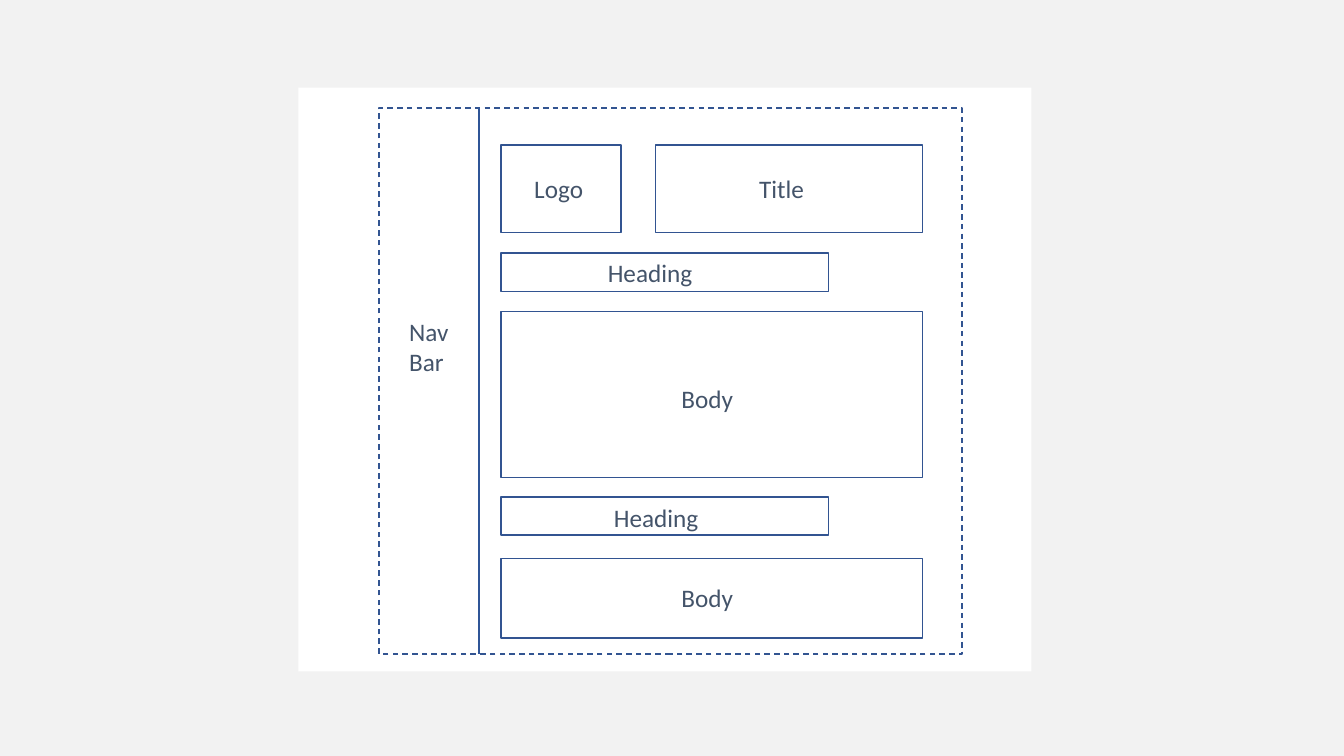
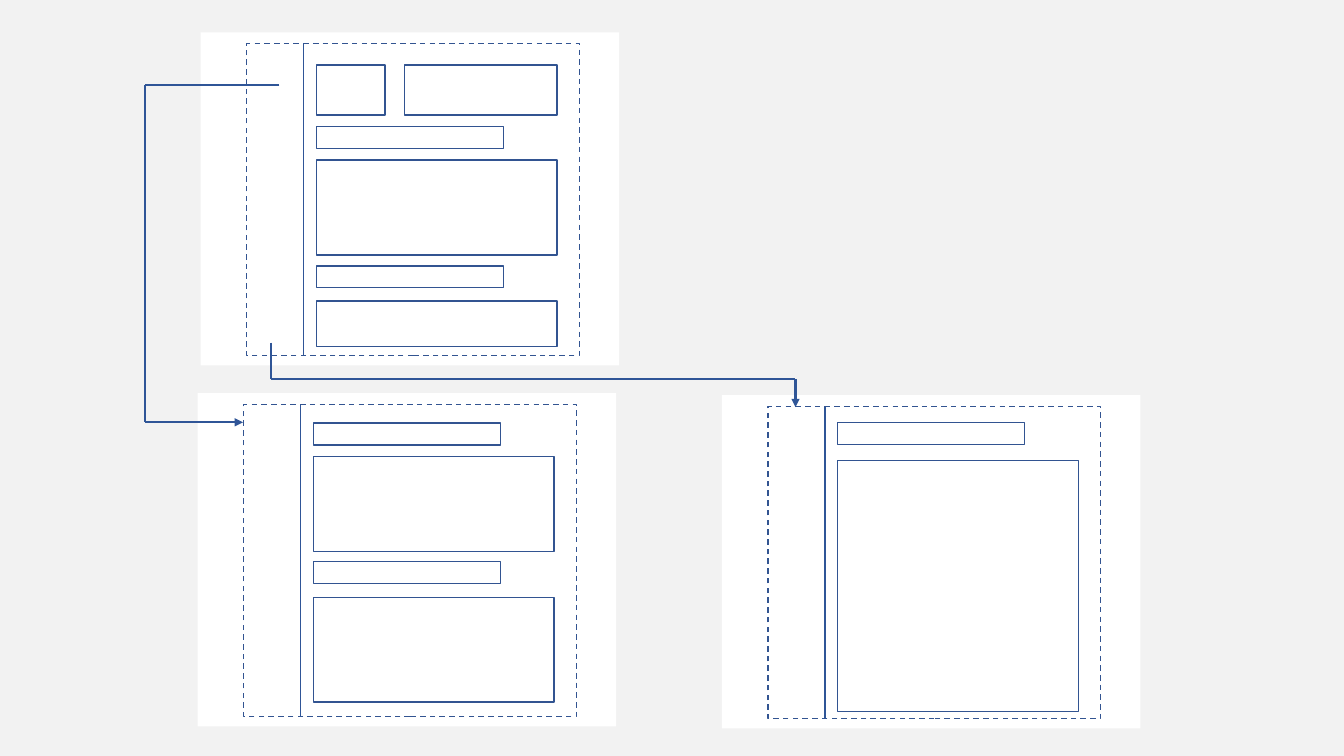
"""Build two slides of page wireframes on a grid of tenth-inch cells."""
from itertools import pairwise

from lxml import etree
from pptx import Presentation
from pptx import util as u
from pptx.dml.color import RGBColor
from pptx.enum import dml, shapes, text
from pptx.oxml.ns import qn

GREY = RGBColor(0xF2, 0xF2, 0xF2)
WHITE = RGBColor(0xFF, 0xFF, 0xFF)
EDGE = RGBColor(0x32, 0x54, 0x91)
LINK = RGBColor(0x2F, 0x55, 0x97)
SLATE = RGBColor(0x44, 0x54, 0x6A)

CELL = 0.1
SMALL = 0.571
PAGE = (72.7, 57.9)
FRAME = (8, 2, 57.8, 54.2)
NAV = 17.9
LEFT = 20.1
HEAD = (32.5, 3.8)
BODY = 41.8

HOME = [
    (LEFT, 5.7, 11.9, 8.7),
    (35.4, 5.7, 26.5, 8.7),
    (LEFT, 16.4, *HEAD),
    (LEFT, 22.2, BODY, 16.5),
    (LEFT, 40.6, *HEAD),
    (LEFT, 46.7, BODY, 7.9),
]
SPLIT = [
    (LEFT, 5.2, *HEAD),
    (LEFT, 11, BODY, 16.5),
    (LEFT, 29.3, *HEAD),
    (LEFT, 35.5, BODY, 18.2),
]
SOLO = [(LEFT, 4.8, *HEAD), (LEFT, 11.4, BODY, 43.6)]

LABELS = [
    ("Logo", 52, 16.7, 7.9),
    ("Title", 74.3, 16.7, 7.9),
    ("Body", 66.6, 37.5, 7.9),
    ("Body", 66.6, 57.3, 7.9),
    ("Heading", 59.3, 25, 11.5),
    ("Heading", 59.9, 49.3, 11.5),
    ("Nav\nBar", 39.6, 30.9, 7.9),
]
ROUTES = [
    [(27.7, 8.4), (14.4, 8.4), (14.4, 41.9), (24.1, 41.9)],
    [(26.9, 34), (26.9, 37.6), (78.9, 37.6), (78.9, 40.4)],
]


def cells(*nums):
    return [u.Inches(n * CELL) for n in nums]


def apply(item, **style):
    for key, val in style.items():
        setattr(item, key, val)


class Deck:
    """Hold the shared style and the current slide."""

    def __init__(self):
        self.prs = Presentation()
        apply(self.prs, slide_width=u.Inches(13.33), slide_height=u.Inches(7.5))

    def slide(self):
        self.cur = self.prs.slides.add_slide(self.prs.slide_layouts[6])
        fill = self.cur.background.fill
        fill.solid()
        fill.fore_color.rgb = GREY

    def box(self, host, area, edge=True, dash=None):
        rect = host.add_shape(shapes.MSO_SHAPE.RECTANGLE, *cells(*area))
        rect.shadow.inherit = False
        rect.fill.solid()
        rect.fill.fore_color.rgb = WHITE
        if edge:
            rect.line.color.rgb = EDGE
            apply(rect.line, width=u.Pt(1), dash_style=dash)
        else:
            rect.line.fill.background()

    def line(self, host, start, end, width=1, arrow=False):
        link = host.add_connector(
            shapes.MSO_CONNECTOR.STRAIGHT, *cells(*start, *end))
        link.line.color.rgb = LINK
        link.line.width = u.Pt(width)
        if arrow:
            tip = etree.SubElement(link.line._get_or_add_ln(), qn("a:tailEnd"))
            tip.set("type", "triangle")
        etree.SubElement(link._element.spPr, qn("a:effectLst"))

    def page(self, left, top, blocks, scale=1):
        host = self.cur.shapes.add_group_shape().shapes

        def fit(x, y, *size):
            return left + x * scale, top + y * scale, *(n * scale for n in size)

        self.box(host, fit(0, 0, *PAGE), edge=False)
        self.box(host, fit(*FRAME), dash=dml.MSO_LINE.DASH)
        for block in blocks:
            self.box(host, fit(*block))
        high = FRAME[1]
        self.line(host, fit(NAV, high), fit(NAV, high + FRAME[3]))

    def label(self, words, left, top, width):
        rows = words.split("\n")
        high = 4 + 3.1 * (len(rows) - 1)
        frame = self.cur.shapes.add_textbox(
            *cells(left, top, width, high)).text_frame
        apply(frame, word_wrap=True, text=words,
              auto_size=text.MSO_AUTO_SIZE.SHAPE_TO_FIT_TEXT)
        for para in frame.paragraphs:
            apply(para.font, name="Calibri", size=u.Pt(18))
            para.font.color.rgb = SLATE

    def route(self, points):
        for start, end in pairwise(points):
            self.line(self.cur.shapes, start, end, 1.5, end == points[-1])


def main():
    deck = Deck()
    deck.slide()
    deck.page(29.6, 8.7, HOME)
    for label in LABELS:
        deck.label(*label)

    deck.slide()
    deck.page(19.9, 3.2, HOME, SMALL)
    deck.page(19.6, 39, SPLIT, SMALL)
    deck.page(71.6, 39.2, SOLO, SMALL)
    for points in ROUTES:
        deck.route(points)
    deck.prs.save("out.pptx")


if __name__ == "__main__":
    main()
